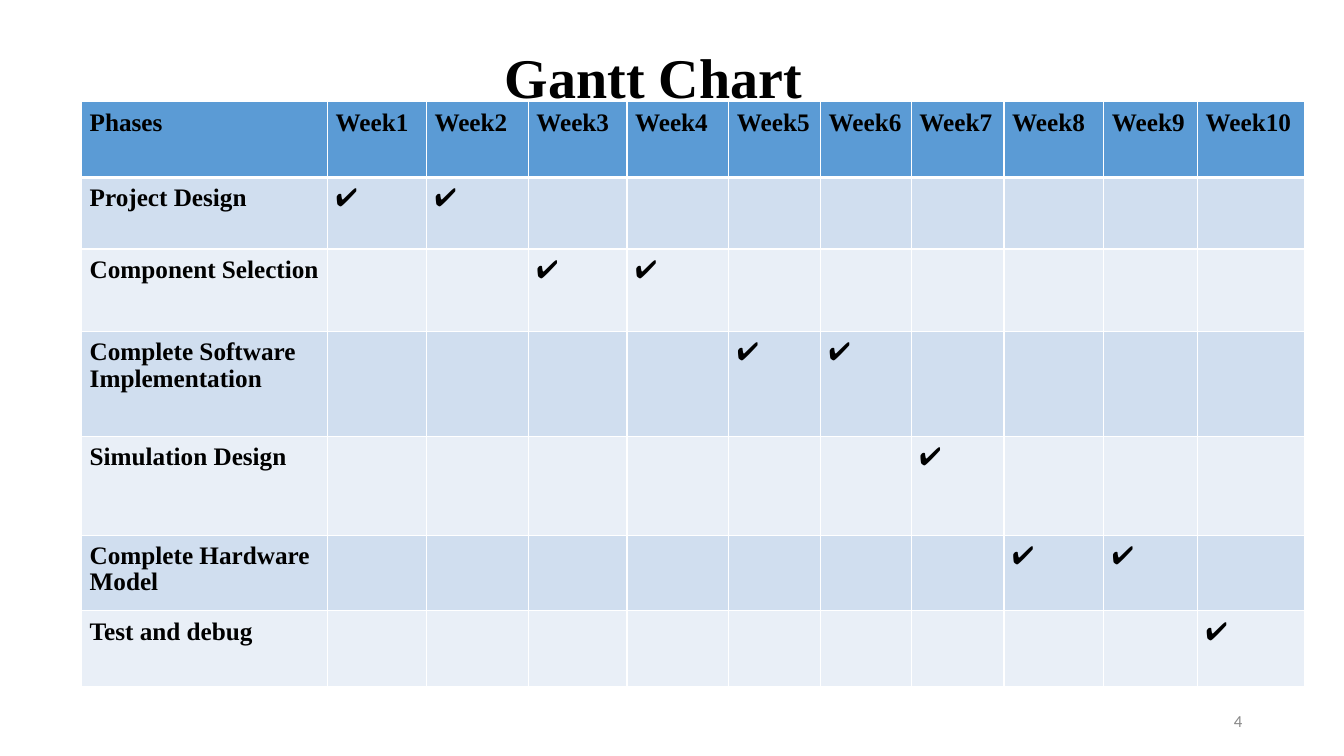
from lxml.etree import SubElement
from pptx import Presentation
from pptx.dml.color import RGBColor
from pptx.enum.text import MSO_ANCHOR, PP_ALIGN
from pptx.oxml.ns import qn
from pptx.util import Inches, Pt

COLORS = {
    "text": "000000",
    "number": "888888",
    "header": "5B9BD5",
    "odd": "D0DEEF",
    "even": "E9EFF7",
    "border": "FFFFFF",
}
SERIF = "Times New Roman"
COLUMN_WIDTHS = [2.44, 0.98, 1.01, 0.98, 1.01, 0.91, 0.9, 0.92, 0.99, 0.93, 1.06]
HEADER_HEIGHT = 0.75
WEEKS = len(COLUMN_WIDTHS) - 1
PHASES = [
    ("Project Design", (1, 2), 0.71),
    ("Component Selection", (3, 4), 0.82),
    ("Complete Software Implementation", (5, 6), 1.04),
    ("Simulation Design", (7,), 0.98),
    ("Complete Hardware Model", (8, 9), 0.75),
    ("Test and debug", (10,), 0.75),
]


def style_paragraph(paragraph, size, font=SERIF, color="text", bold=True):
    """Format the paragraph's font."""
    paragraph.font.size = Pt(size)
    for run in paragraph.runs:
        run.font.name = font
        run.font.size = Pt(size)
        run.font.bold = bold
        run.font.color.rgb = RGBColor.from_string(COLORS[color])


def add_line(slide, box, text):
    """Add a one-paragraph text box, centred vertically, and return its paragraph."""
    frame = slide.shapes.add_textbox(*map(Inches, box)).text_frame
    frame.word_wrap = True
    frame.vertical_anchor = MSO_ANCHOR.MIDDLE
    frame.text = text
    return frame.paragraphs[0]


def add_title(slide, box):
    """Add the heading, indented within its box."""
    heading = add_line(slide, box, "Gantt Chart")
    heading.line_spacing = 0.9
    heading._p.get_or_add_pPr().set("marL", str(Inches(3.6)))
    style_paragraph(heading, 40)


def add_page_number(slide, box):
    """Add the page number at the right of its box."""
    number = add_line(slide, box, "4")
    number.alignment = PP_ALIGN.RIGHT
    style_paragraph(number, 12, "Calibri", "number", False)


def set_borders(cell, top, bottom):
    """Draw white cell borders with the given top and bottom widths."""
    properties = cell._tc.get_or_add_tcPr()
    for side, width in (("L", 1), ("R", 1), ("T", top), ("B", bottom)):
        border = SubElement(properties, qn(f"a:ln{side}"), w=str(Pt(width)))
        fill = SubElement(border, qn("a:solidFill"))
        SubElement(fill, qn("a:srgbClr"), val=COLORS["border"])


def fill_cell(cell, text, row):
    """Write and style one cell of the schedule."""
    set_borders(cell, 3 if row == 1 else 1, 3 if row == 0 else 1)
    band = "header" if row == 0 else "odd" if row % 2 else "even"
    cell.fill.solid()
    cell.fill.fore_color.rgb = RGBColor.from_string(COLORS[band])
    cell.margin_left = cell.margin_right = Inches(0.08)
    cell.margin_top = cell.margin_bottom = Inches(0.08)
    cell.text = text
    paragraph = cell.text_frame.paragraphs[0]
    paragraph.line_spacing = 0.95
    style_paragraph(paragraph, 18)


def add_schedule(slide, left, top):
    """Add the table of phases against weeks."""
    weeks = range(1, WEEKS + 1)
    rows = [["Phases"] + [f"Week{week}" for week in weeks]]
    rows += [
        [phase] + ["✔" if week in active else "" for week in weeks]
        for phase, active, _ in PHASES
    ]
    heights = [HEADER_HEIGHT] + [height for _, _, height in PHASES]
    schedule = slide.shapes.add_table(
        len(rows), len(COLUMN_WIDTHS), Inches(left), Inches(top),
        Inches(sum(COLUMN_WIDTHS)), Inches(sum(heights)),
    ).table
    for column, width in zip(schedule.columns, COLUMN_WIDTHS):
        column.width = Inches(width)
    for row, (texts, height) in enumerate(zip(rows, heights)):
        schedule.rows[row].height = Inches(height)
        for column, text in enumerate(texts):
            fill_cell(schedule.cell(row, column), text, row)


def main():
    """Build and save the slide."""
    presentation = Presentation()
    presentation.slide_width = Inches(13.33)
    presentation.slide_height = Inches(7.5)
    slide = presentation.slides.add_slide(presentation.slide_layouts[6])
    add_title(slide, (1.31, 0.29, 11.5, 1.01))
    add_page_number(slide, (9.42, 6.95, 3, 0.4))
    add_schedule(slide, 0.81, 1.01)
    presentation.save("out.pptx")


if __name__ == "__main__":
    main()
